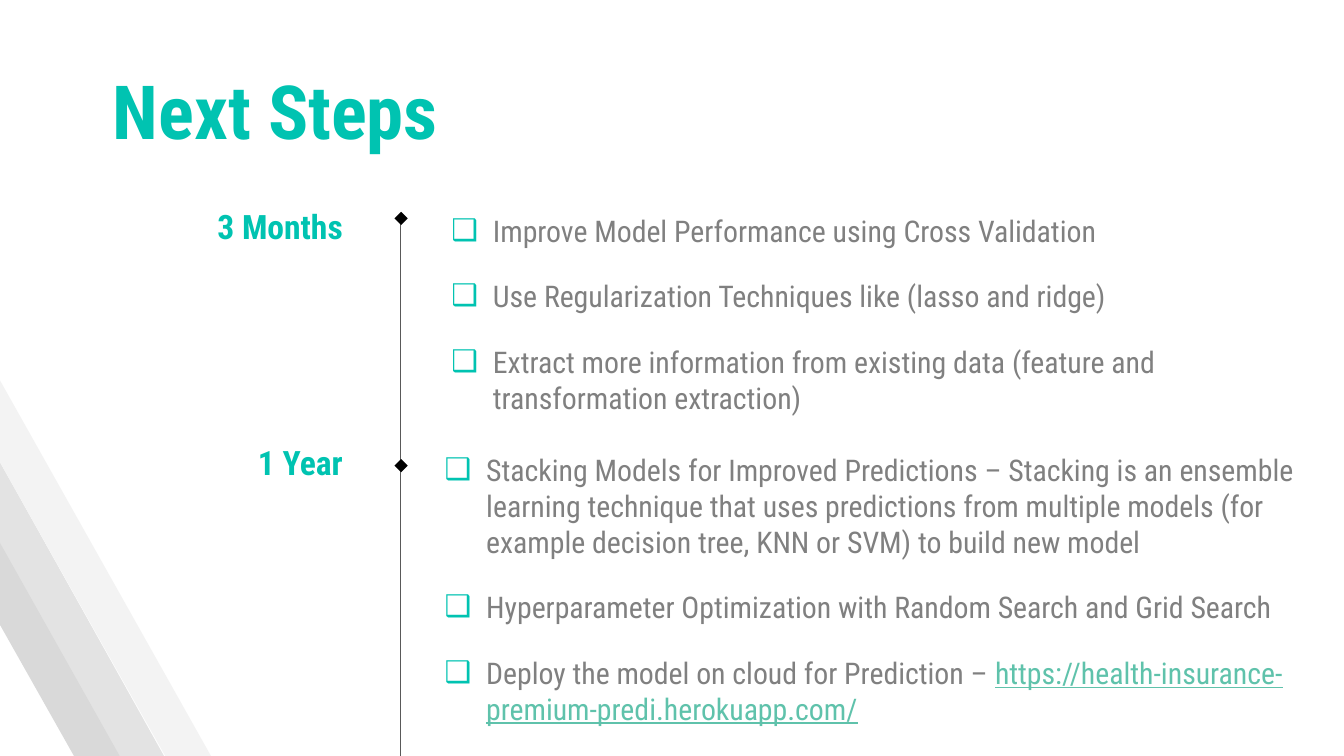
"""Build the Next Steps slide: a two-stage timeline with checklists."""
from lxml import etree
from pptx import Presentation
from pptx.dml.color import RGBColor
from pptx.enum.shapes import MSO_CONNECTOR, MSO_SHAPE
from pptx.enum.text import MSO_ANCHOR, MSO_AUTO_SIZE, PP_ALIGN
from pptx.oxml.ns import qn
from pptx.util import Inches, Pt

STRAIGHT = MSO_CONNECTOR.STRAIGHT
SQUARE = MSO_SHAPE.RECTANGLE
TOP = MSO_ANCHOR.TOP
NO_FIT = MSO_AUTO_SIZE.NONE
LEFT, RIGHT = PP_ALIGN.LEFT, PP_ALIGN.RIGHT

FONT = "Roboto Condensed"
COLORS = {
    "accent": "00C3B1", "body": "808080", "link": "5FC2AB", "line": "595959",
    "marker": "000000", "light": "F3F3F3", "middle": "E3E3E3", "dark": "D9D9D9",
}
WIDTH = 10
HEIGHT = WIDTH * 9 / 16
TITLE = "Next Steps"
LINE_X, LINE_TOP = 2.98, 1.62
MARKER_LEFT, MARKER_SIZE = 2.95, 0.07
STAGES = [
    {
        "label": "3 Months", "label_top": 1.43, "marker_top": 1.59, "list_at": (3.26, 1.48),
        "items": [
            ["Improve Model Performance using Cross Validation"],
            ["Use Regularization Techniques like (lasso and ridge)"],
            ["Extract more information from existing data (feature and "
             "transformation extraction)"],
        ],
    },
    {
        "label": "1 Year", "label_top": 3.19, "marker_top": 3.43, "list_at": (3.21, 3.26),
        "items": [
            ["Stacking Models for Improved Predictions – Stacking is an ensemble "
             "learning technique that uses predictions from multiple models (for "
             "example decision tree, KNN or SVM) to build new model"],
            ["Hyperparameter Optimization with Random Search and Grid Search"],
            ["Deploy the model on cloud for Prediction – ",
             "https://health-insurance-premium-predi.herokuapp.com/"],
        ],
    },
]
BANDS = [
    ("middle", [(0.88, HEIGHT), (0, 4.05), (0, 3.44), (1.22, HEIGHT)]),
    ("dark", [(0.55, HEIGHT), (0, 4.65), (0, 4.04), (0.89, HEIGHT)]),
    ("light", [(1.23, HEIGHT), (0, 3.44), (0, 2.83), (1.57, HEIGHT)]),
]


def color(name):
    return RGBColor.from_string(COLORS[name])


def set_font(font, size, name, bold=False):
    font.name, font.size, font.bold = FONT, Pt(size), bold
    font.color.rgb = color(name)


def prepare_frame(box):
    frame = box.text_frame
    frame.word_wrap = True
    frame.auto_size = NO_FIT
    frame.vertical_anchor = TOP
    frame.margin_left = frame.margin_right = Inches(0.1)
    frame.margin_top = frame.margin_bottom = Inches(0.1)
    return frame


def add_box(slide, left, top, width, height):
    return prepare_frame(slide.shapes.add_textbox(*map(Inches, (left, top, width, height))))


def fill_plain(shape, name):
    shape.shadow.inherit = False
    shape.fill.solid()
    shape.fill.fore_color.rgb = color(name)
    shape.line.fill.background()


def add_bullet(para):
    properties = para._p.get_or_add_pPr()
    properties.set("marL", str(Inches(0.31)))
    properties.set("indent", str(Inches(-0.31)))
    bullet_color = etree.SubElement(properties, qn("a:buClr"))
    etree.SubElement(bullet_color, qn("a:srgbClr"), val=COLORS["accent"])
    etree.SubElement(properties, qn("a:buFont"), typeface=FONT)
    etree.SubElement(properties, qn("a:buChar"), char="❑")


def add_title(slide):
    title = slide.shapes.title
    title.left, title.top, title.width, title.height = map(Inches, (0.74, 0.38, 7.28, 0.76))
    para = prepare_frame(title).paragraphs[0]
    para.text = TITLE
    para.alignment = LEFT
    para.line_spacing = 1.0
    para.space_before = Pt(0)
    set_font(para.font, 40, "accent", bold=True)


def add_bands(slide):
    for name, points in BANDS:
        corners = [(Inches(x), Inches(y)) for x, y in points]
        builder = slide.shapes.build_freeform(*corners[0])
        builder.add_line_segments(corners[1:], close=True)
        fill_plain(builder.convert_to_shape(), name)


def add_timeline(slide):
    ends = (LINE_X, HEIGHT, LINE_X, LINE_TOP)
    line = slide.shapes.add_connector(STRAIGHT, *map(Inches, ends))
    line.line.color.rgb = color("line")
    line.line.width = Pt(0.75)
    etree.SubElement(line._element.spPr, qn("a:effectLst"))
    for stage in STAGES:
        bounds = (MARKER_LEFT, stage["marker_top"], MARKER_SIZE, MARKER_SIZE)
        marker = slide.shapes.add_shape(SQUARE, *map(Inches, bounds))
        marker.rotation = 315
        fill_plain(marker, "marker")


def add_stage(slide, stage):
    label = add_box(slide, 1.05, stage["label_top"], 1.6, 0.43).paragraphs[0]
    label.text = stage["label"]
    label.alignment = RIGHT
    set_font(label.font, 18, "accent", bold=True)

    frame = add_box(slide, *stage["list_at"], 6.74, 2.01)
    for index, item in enumerate(stage["items"]):
        para = frame.add_paragraph() if index else frame.paragraphs[0]
        para.space_after = Pt(16)
        add_bullet(para)
        set_font(para.font, 16, "body")
        for text in item:
            span = para.add_run()
            span.text = text
            if text.startswith("https:"):
                span.font.color.rgb = color("link")
                span.font.underline = True


def main():
    deck = Presentation()
    deck.slide_width, deck.slide_height = Inches(WIDTH), Inches(HEIGHT)
    slide = deck.slides.add_slide(deck.slide_layouts.get_by_name("Title Only"))
    add_title(slide)
    add_bands(slide)
    add_timeline(slide)
    for stage in STAGES:
        add_stage(slide, stage)
    deck.save("out.pptx")


if __name__ == "__main__":
    main()
